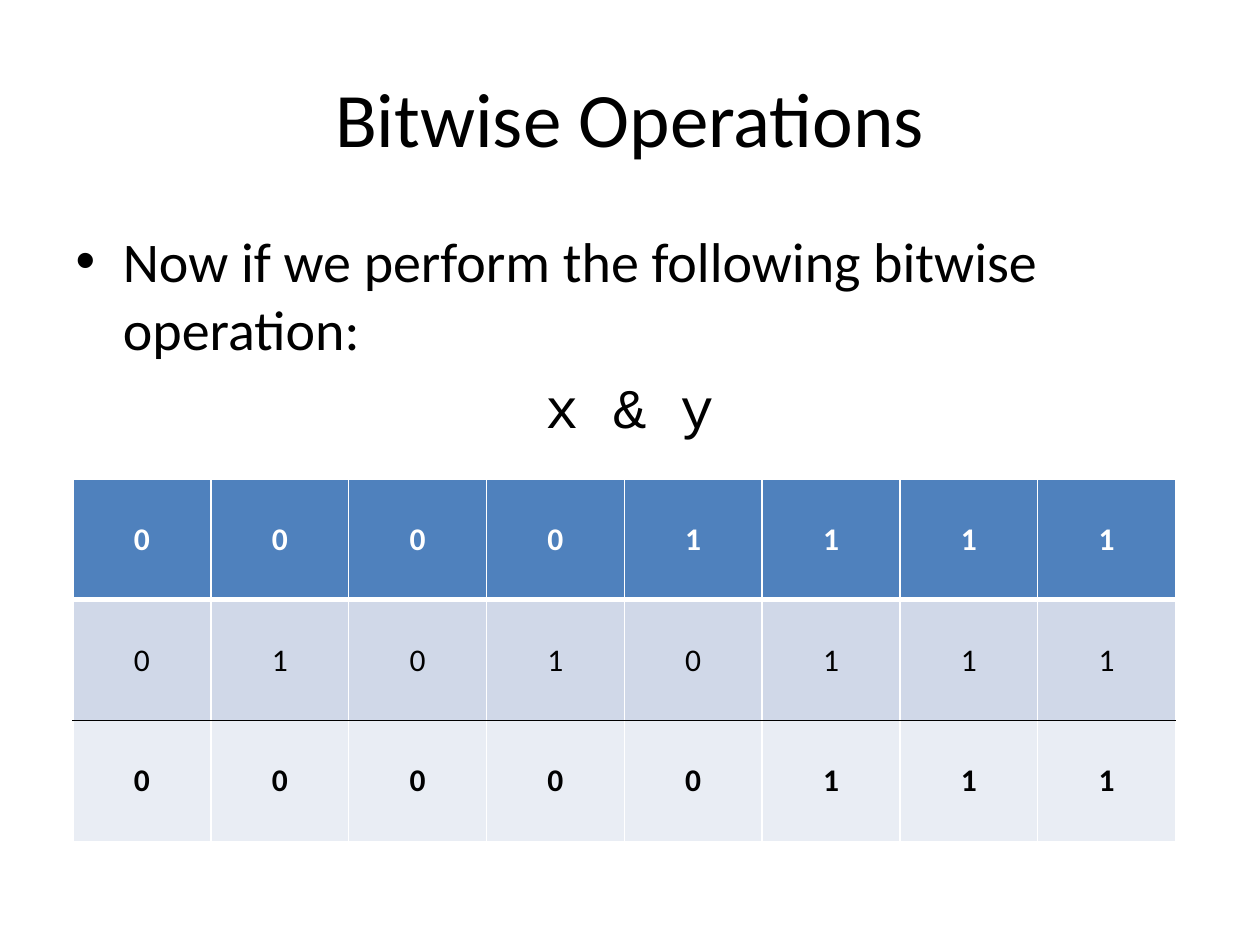
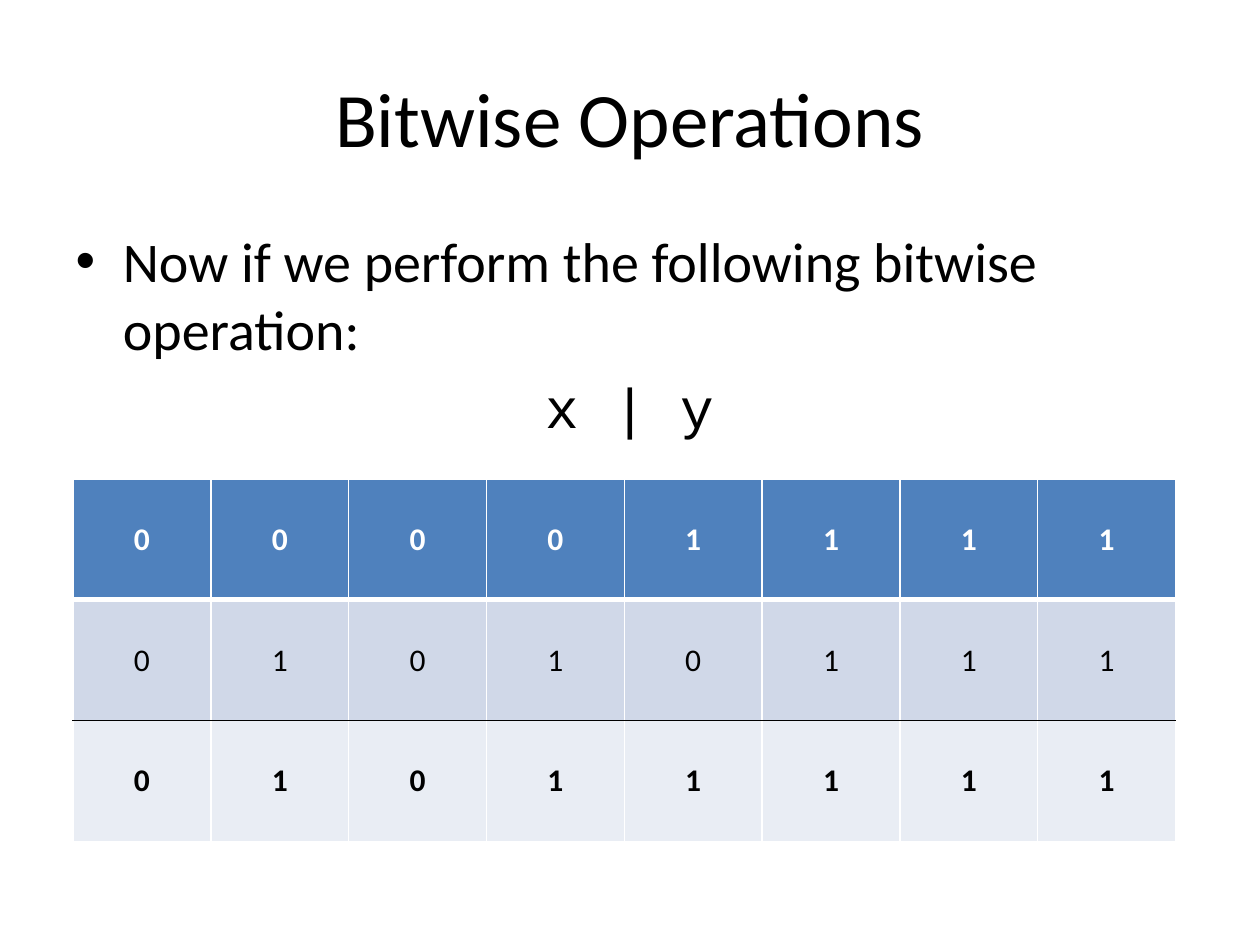
from pptx import Presentation
from pptx import util as u
from pptx.dml.color import RGBColor
from pptx.enum import text
from pptx.oxml import parse_xml
from pptx.oxml.ns import nsdecls

COLORS = {"ink": "000000", "paper": "FFFFFF", "header": "4F81BD",
          "operand": "D0D8E8", "result": "E9EDF4"}
FONT, CODE_FONT = "Calibri", "Courier New"

X, Y = 0b00001111, 0b01010111
BITS = 8
OPERATIONS = [("x & y", X & Y), ("x | y", X | Y)]

# Row looks: fill, text, bold, (top border), (bottom border)
ROW_STYLES = [
    ("header", "paper", True, ("paper", 1), ("paper", 3)),
    ("operand", "ink", False, ("paper", 3), ("ink", 1)),
    ("result", "ink", True, ("ink", 1), ("paper", 1)),
]


def style_font(paragraph, name, size, color, bold=False):
    font = paragraph.font
    font.name, font.size, font.bold = name, u.Pt(size), bold
    font.color.rgb = RGBColor.from_string(COLORS[color])


def add_border(cell, side, color, points):
    cell._tc.get_or_add_tcPr().append(parse_xml(
        f'<a:ln{side} {nsdecls("a")} w="{u.Pt(points)}"><a:solidFill>'
        f'<a:srgbClr val="{COLORS[color]}"/></a:solidFill></a:ln{side}>'))


prs = Presentation()
prs.slide_width, prs.slide_height = u.Inches(10), u.Inches(7.5)

for expression, outcome in OPERATIONS:
    slide = prs.slides.add_slide(prs.slide_layouts[1])

    # Title
    title = slide.shapes.title
    title.left, title.top = u.Inches(0.5), u.Inches(0.3)
    title.width, title.height = u.Inches(9), u.Inches(1.25)
    title.text_frame.text = "Bitwise Operations"
    title.text_frame.vertical_anchor = text.MSO_ANCHOR.MIDDLE
    heading = title.text_frame.paragraphs[0]
    heading.alignment = text.PP_ALIGN.CENTER
    style_font(heading, FONT, 44, "ink")

    # Introduction and expression
    body = slide.placeholders[1]
    body.left, body.top = u.Inches(0.5), u.Inches(1.75)
    body.width, body.height = u.Inches(9), u.Inches(4.95)
    intro = body.text_frame.paragraphs[0]
    intro.text = "Now if we perform the following bitwise operation:"
    intro.space_before = u.Pt(0)
    style_font(intro, FONT, 32, "ink")

    formula = body.text_frame.add_paragraph()
    formula.text = expression
    formula.alignment = text.PP_ALIGN.CENTER
    indent = formula._p.get_or_add_pPr()
    indent.set("marL", "0")
    indent.set("indent", "0")
    indent.append(parse_xml(f'<a:buNone {nsdecls("a")}/>'))
    style_font(formula, CODE_FONT, 32, "ink")

    # Bit table: x, y and the outcome
    numbers = [X, Y, outcome]
    bit_table = slide.shapes.add_table(
        len(numbers), BITS, u.Inches(0.58), u.Inches(3.8),
        u.Inches(8.75), u.Inches(2.88)).table
    for row, number, style in zip(bit_table.rows, numbers, ROW_STYLES):
        fill, ink, bold, top, bottom = style
        for cell, bit in zip(row.cells, f"{number:0{BITS}b}"):
            cell.text = bit
            cell.vertical_anchor = text.MSO_ANCHOR.MIDDLE
            digit = cell.text_frame.paragraphs[0]
            digit.alignment = text.PP_ALIGN.CENTER
            style_font(digit, FONT, 18, ink, bold)
            add_border(cell, "L", "paper", 1)
            add_border(cell, "R", "paper", 1)
            add_border(cell, "T", *top)
            add_border(cell, "B", *bottom)
            cell.fill.solid()
            cell.fill.fore_color.rgb = RGBColor.from_string(COLORS[fill])

prs.save("out.pptx")
